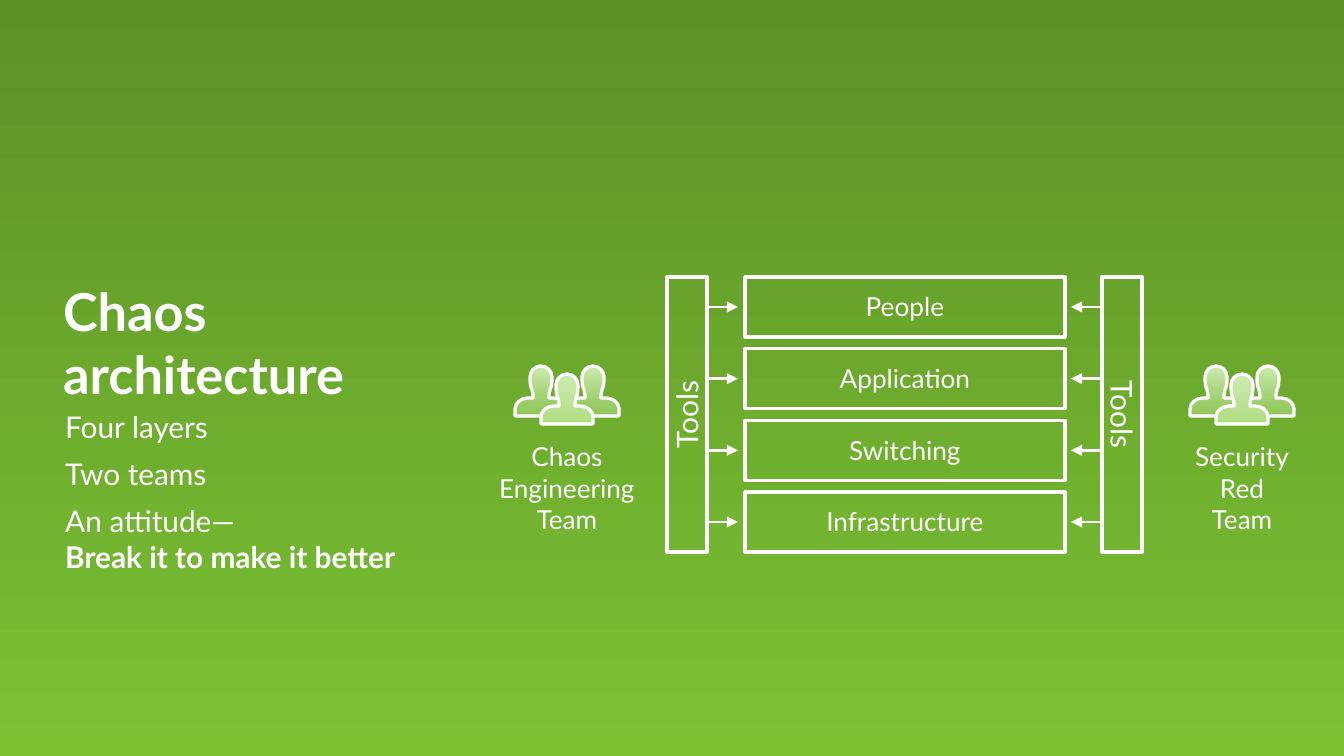
"""Build the chaos architecture slide: four layers tested by two teams."""
from copy import deepcopy

from lxml import etree
from pptx import Presentation
from pptx.dml.color import RGBColor
from pptx.enum.shapes import MSO_CONNECTOR, MSO_SHAPE
from pptx.enum.text import MSO_ANCHOR, PP_ALIGN
from pptx.oxml.ns import qn
from pptx.util import Pt

RECTANGLE = MSO_SHAPE.RECTANGLE
STRAIGHT = MSO_CONNECTOR.STRAIGHT
LEFT, CENTER = PP_ALIGN.LEFT, PP_ALIGN.CENTER
TOP, BOTTOM = MSO_ANCHOR.TOP, MSO_ANCHOR.BOTTOM

TITLE = [[("Chaos", True)], [("architecture", True)]]
POINTS = [
    [("Four layers", False)],
    [("Two teams", False)],
    [("An attitude—\n", False), ("Break it to make it better", True)],
]
LAYERS = [("People", 109), ("Application", 164), ("Switching", 145), ("Infrastructure", 191)]
SIDES = [
    {"team": "Chaos\nEngineering\nTeam", "center": 567, "text_width": 171,
     "tools_left": 667, "arrow": (707, 738), "rotation": 270},
    {"team": "Security\nRed\nTeam", "center": 1242, "text_width": 124,
     "tools_left": 1102, "arrow": (1102, 1071), "rotation": 90},
]

WHITE = "FFFFFF"
BACKGROUND_STOPS = [(0, "5C9126"), (1, "7BC233")]
PERSON_STOPS = [(0.1, "CAE9AB"), (1, "B0DE81")]
SLIDE_WIDTH, SLIDE_HEIGHT = 1344, 756
LAYER_LEFT, LAYER_TOP, LAYER_WIDTH, LAYER_HEIGHT = 745, 277, 320, 60
TOOLS_WIDTH, TOOLS_HEIGHT = 40, 275
LAYER_PITCH = (TOOLS_HEIGHT - LAYER_HEIGHT) / (len(LAYERS) - 1)
LABEL_HEIGHT = 46
TOOLS_LABEL = (101, 50)
PERSON_WIDTH = 52
PERSON_SPOTS = [(-52, 366, 50), (0, 366, 50), (-26, 374, 100)]
HALF_PERSON = [
    (26, 0),
    (32, 0), (37, 5), (37, 11),
    (37, 15), (37, 20), (35, 24),
    (34, 27), (34, 30), (34, 32),
    (39, 32),
    (46, 32), (52, 37), (52, 43),
    (52, 50),
]
HALF_SEGMENTS = "CCCLCL"
PERSON_SEGMENTS = HALF_SEGMENTS + "L" + HALF_SEGMENTS[::-1]


def px(length):
    return round(length * 9144000 / SLIDE_WIDTH)


def color(value):
    return RGBColor.from_string(value)


def set_gradient(fill, stops):
    fill.gradient()
    fill.gradient_angle = 270
    for stop, (position, value) in zip(fill.gradient_stops, stops):
        stop.position = position
        stop.color.rgb = color(value)


def set_line(line, width):
    line.color.rgb = color(WHITE)
    line.width = Pt(width)


def set_text(shape, paragraphs, size, align, space_before=0, **frame_format):
    frame = shape.text_frame
    for name, value in frame_format.items():
        setattr(frame, name, value)
    for index, parts in enumerate(paragraphs):
        paragraph = frame.add_paragraph() if index else frame.paragraphs[0]
        paragraph.alignment = align
        paragraph.space_before = Pt(space_before if index else 0)
        for text, bold in parts:
            for line_index, line in enumerate(text.split("\n")):
                if line_index:
                    paragraph.add_line_break()
                if line:
                    run = paragraph.add_run()
                    run.text = line
                    font_format = {"name": "Lato", "size": Pt(size), "bold": bold}
                    for name, value in font_format.items():
                        setattr(run.font, name, value)
                    run.font.color.rgb = color(WHITE)
        for line_break in paragraph._p.findall(qn("a:br")):
            line_break.append(deepcopy(paragraph.runs[0]._r.rPr))


def add_text(slide, box, *text, **text_format):
    shape = slide.shapes.add_textbox(*map(px, box))
    set_text(shape, *text, **text_format)
    return shape


def add_labelled_box(slide, box, label, label_size, size):
    left, top, width, height = box
    shape = slide.shapes.add_shape(RECTANGLE, *map(px, box))
    shape.shadow.inherit = False
    shape.fill.background()
    set_line(shape.line, 1.75)
    label_width, label_height = label_size
    label_box = (left + (width - label_width) / 2, top + (height - label_height) / 2,
                 label_width, label_height)
    return add_text(slide, label_box, [[(label, False)]], size, CENTER, word_wrap=False)


def add_arrow(slide, start, end, y):
    arrow = slide.shapes.add_connector(STRAIGHT, px(start), px(y), px(end), px(y))
    set_line(arrow.line, 1.5)
    etree.SubElement(arrow.line._get_or_add_ln(), qn("a:tailEnd"), type="triangle")
    etree.SubElement(arrow._element.spPr, qn("a:effectLst"))


def bend_outline(shape, segments):
    steps = iter(list(shape._element.spPr.iter(qn("a:lnTo"))))
    for segment in segments:
        first = next(steps)
        if segment == "C":
            curve = etree.Element(qn("a:cubicBezTo"))
            first.addprevious(curve)
            for step in (first, next(steps), next(steps)):
                curve.append(step[0])
                step.getparent().remove(step)


def add_person(slide, left, top, opacity):
    mirrored = [(PERSON_WIDTH - x, y) for x, y in reversed(HALF_PERSON)]
    points = [(px(left + x), px(top + y)) for x, y in HALF_PERSON + mirrored]
    builder = slide.shapes.build_freeform(*points[0])
    builder.add_line_segments(points[1:], close=True)
    person = builder.convert_to_shape()
    bend_outline(person, PERSON_SEGMENTS)
    person.shadow.inherit = False
    set_gradient(person.fill, PERSON_STOPS)
    set_line(person.line, 1.75)
    if opacity < 100:
        last_color = person._element.spPr.findall(".//" + qn("a:srgbClr"))[1]
        etree.SubElement(last_color, qn("a:alpha"), val=str(opacity * 1000))


def add_side(slide, side):
    for offset, top, opacity in PERSON_SPOTS:
        add_person(slide, side["center"] + offset, top, opacity)
    tools_box = (side["tools_left"], LAYER_TOP, TOOLS_WIDTH, TOOLS_HEIGHT)
    label = add_labelled_box(slide, tools_box, "Tools", TOOLS_LABEL, 16)
    label.rotation = side["rotation"]
    for index in range(len(LAYERS)):
        y = LAYER_TOP + LAYER_HEIGHT / 2 + index * LAYER_PITCH
        add_arrow(slide, *side["arrow"], y)
    width = side["text_width"]
    add_text(slide, (side["center"] - width / 2, 434, width, 109),
             [[(side["team"], False)]], 14, CENTER, word_wrap=False)


def main():
    presentation = Presentation()
    presentation.slide_width = px(SLIDE_WIDTH)
    presentation.slide_height = px(SLIDE_HEIGHT)
    slide = presentation.slides.add_slide(presentation.slide_layouts[6])
    set_gradient(slide.background.fill, BACKGROUND_STOPS)
    for index, (label, label_width) in enumerate(LAYERS):
        box = (LAYER_LEFT, LAYER_TOP + index * LAYER_PITCH, LAYER_WIDTH, LAYER_HEIGHT)
        add_labelled_box(slide, box, label, (label_width, LABEL_HEIGHT), 14)
    for side in SIDES:
        add_side(slide, side)
    add_text(slide, (52, 402, 410, 207), POINTS, 16, LEFT, space_before=6,
             word_wrap=True, vertical_anchor=TOP)
    add_text(slide, (50, 210, 484, 207), TITLE, 28, LEFT,
             word_wrap=True, vertical_anchor=BOTTOM, margin_bottom=px(12))
    presentation.save("out.pptx")


if __name__ == "__main__":
    main()
